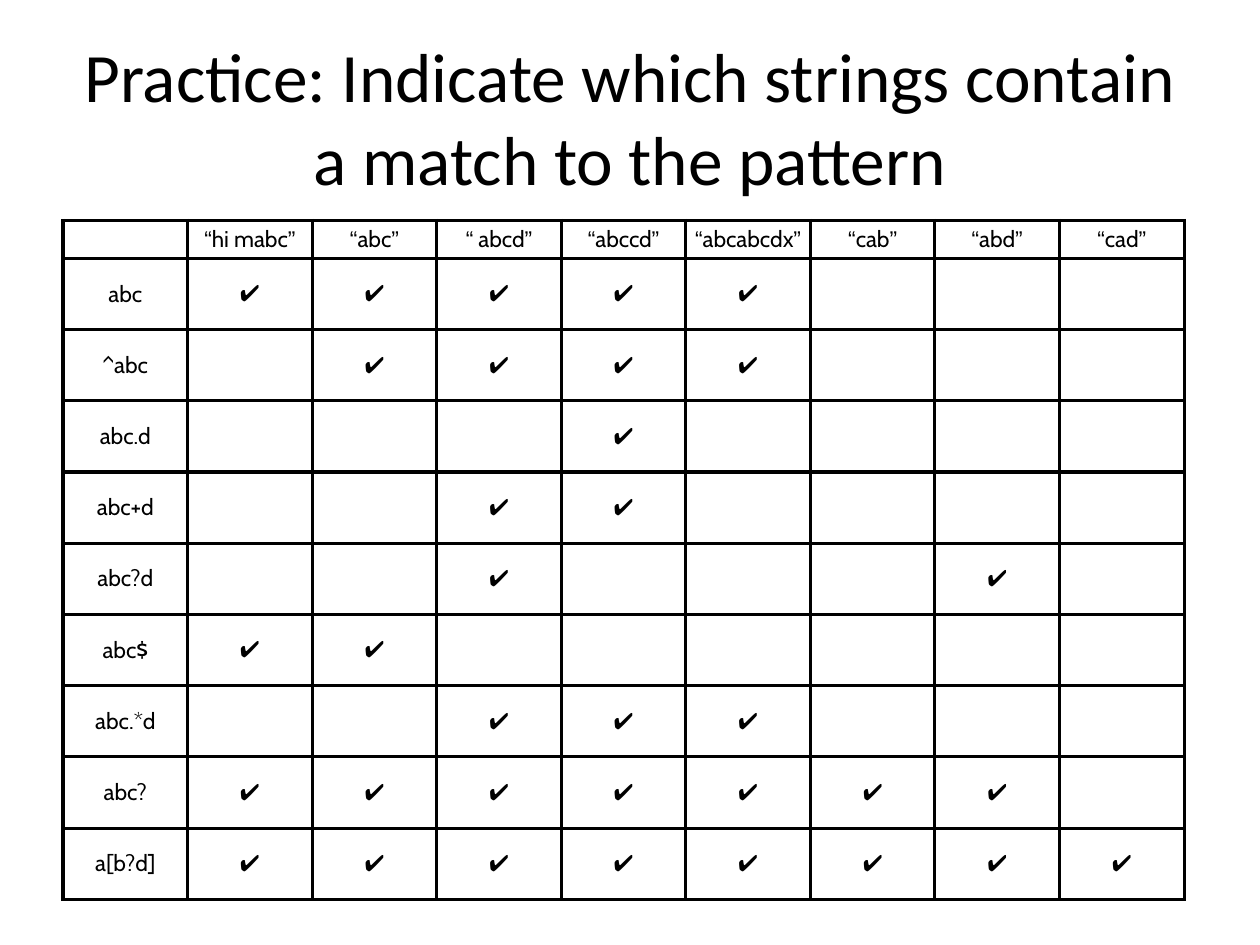
from lxml.etree import SubElement
from pptx import Presentation
from pptx.dml.color import RGBColor
from pptx.enum.text import MSO_ANCHOR as Anchor, PP_ALIGN as Align
from pptx.oxml.ns import qn
from pptx.util import Pt

BLACK = RGBColor(0, 0, 0)
TITLE = "Practice: Indicate which strings contain a match to the pattern"
STRINGS = ["hi mabc", "abc", " abcd", "abccd", "abcabcdx", "cab", "abd", "cad"]
MATCHES = {
    "abc": "✔✔✔✔✔---",
    "^abc": "-✔✔✔✔---",
    "abc.d": "---✔----",
    "abc+d": "--✔✔----",
    "abc?d": "--✔---✔-",
    "abc$": "✔✔------",
    "abc.*d": "--✔✔✔---",
    "abc?": "✔✔✔✔✔✔✔-",
    "a[b?d]": "✔✔✔✔✔✔✔✔",
}
HEADER_HEIGHT = 21.6
TEXT_SIZE = Pt(13)
BORDER_WIDTH = Pt(2)


def add_run(paragraph, text, font, size):
    """Append one black run to the paragraph."""
    run = paragraph.add_run()
    run.text = text
    run.font.name = font
    run.font.size = size
    run.font.color.rgb = BLACK


def add_title(slide, left, top, width, height):
    """Place the centred slide title in the given box."""
    title = slide.shapes.add_textbox(Pt(left), Pt(top), Pt(width), Pt(height))
    frame = title.text_frame
    frame.word_wrap = True
    frame.vertical_anchor = Anchor.MIDDLE
    heading = frame.paragraphs[0]
    heading.alignment = Align.CENTER
    add_run(heading, TITLE, "Calibri", Pt(39.6))


def add_borders(cell):
    """Draw a solid black line on all four sides of the cell."""
    properties = cell._tc.get_or_add_tcPr()
    for side in ("a:lnL", "a:lnR", "a:lnT", "a:lnB"):
        line = SubElement(properties, qn(side), w=str(BORDER_WIDTH))
        fill = SubElement(line, qn("a:solidFill"))
        SubElement(fill, qn("a:srgbClr"), val=str(BLACK))


def fill_cell(cell, runs):
    """Format one cell and write its (text, font) runs."""
    cell.margin_left = cell.margin_right = Pt(2.88)
    cell.margin_top = cell.margin_bottom = Pt(2.88)
    cell.vertical_anchor = Anchor.MIDDLE
    add_borders(cell)
    cell.fill.background()
    paragraph = cell.text_frame.paragraphs[0]
    paragraph.alignment = Align.CENTER
    for text, font in runs:
        add_run(paragraph, text, font, TEXT_SIZE)
    if not runs:
        SubElement(paragraph._p, qn("a:endParaRPr"), sz=str(TEXT_SIZE.centipoints))


def match_rows():
    """Return the runs of every cell, row by row."""
    header = [[("“", "Arial"), (string, "Cabin"), ("”", "Arial")] for string in STRINGS]
    rows = [[[]] + header]
    for pattern, marks in MATCHES.items():
        checks = [[(mark, "Arial")] if mark == "✔" else [] for mark in marks]
        rows.append([[(pattern, "Cabin")]] + checks)
    return rows


def add_match_table(slide, left, top, width, height):
    """Place the grid of patterns against strings in the given box."""
    rows = match_rows()
    column_count = len(rows[0])
    table = slide.shapes.add_table(
        len(rows), column_count, Pt(left), Pt(top), Pt(width), Pt(height)
    ).table
    table.first_row = table.horz_banding = False
    for column in table.columns:
        column.width = Pt(width / column_count)
    for index, row in enumerate(rows):
        pattern_height = (height - HEADER_HEIGHT) / len(MATCHES)
        table.rows[index].height = Pt(pattern_height if index else HEADER_HEIGHT)
        for cell, runs in zip(table.rows[index].cells, row):
            fill_cell(cell, runs)


def main():
    """Build the practice slide."""
    deck = Presentation()
    deck.slide_width, deck.slide_height = Pt(720), Pt(540)
    slide = deck.slides.add_slide(deck.slide_layouts[6])
    add_title(slide, 36, 21.6, 648, 90)
    add_match_table(slide, 36, 126, 640.8, 388)
    deck.save("out.pptx")


if __name__ == "__main__":
    main()
